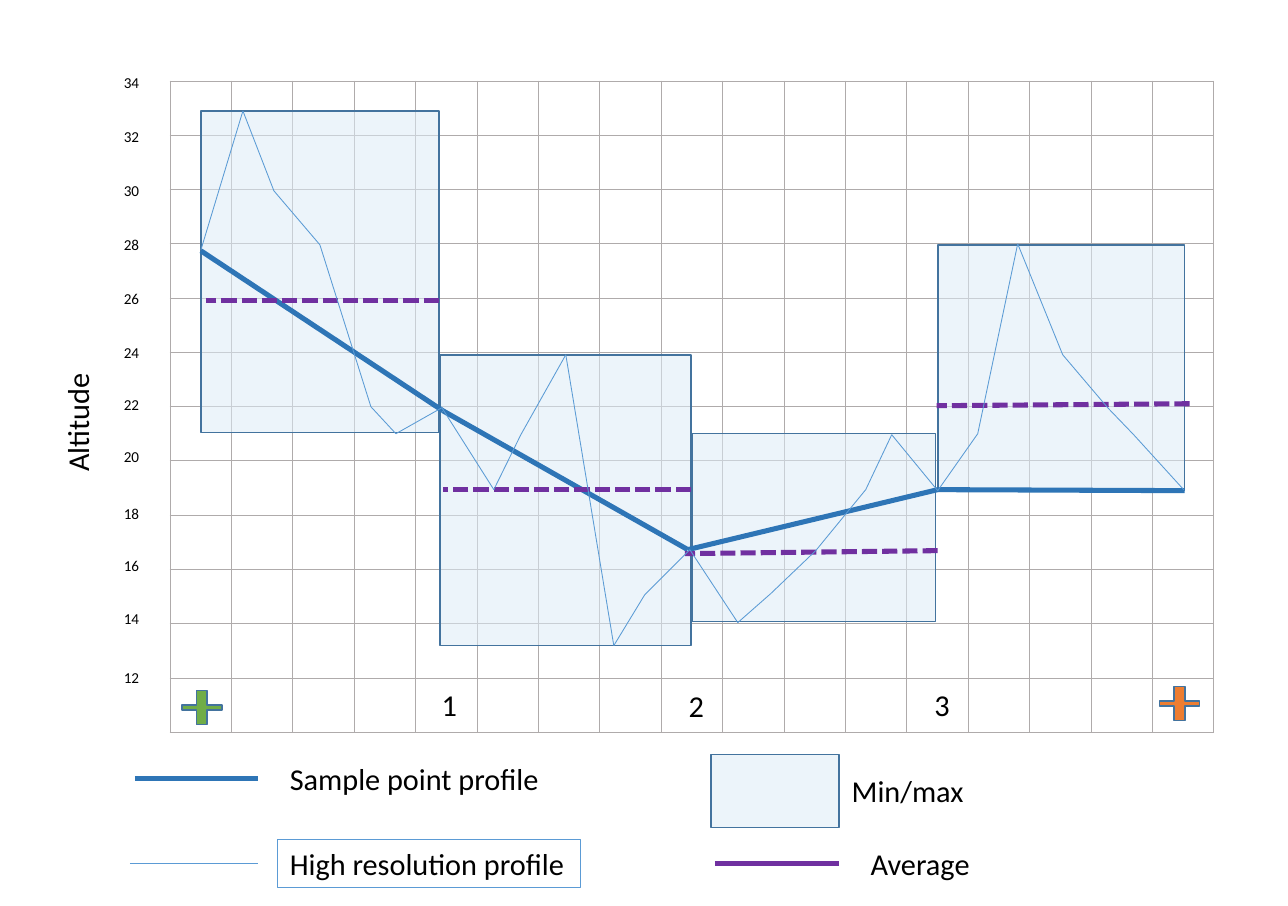
"""Build an altitude profile slide with min/max ranges, averages and a legend."""
import itertools

import lxml.etree
import pptx
import pptx.dml.color
import pptx.enum.shapes
import pptx.enum.text
import pptx.oxml.ns
import pptx.util

SCALE = 914400 / 121.2
SHAPES = pptx.enum.shapes.MSO_SHAPE
FONT = "Calibri"
BLACK, RANGE_FILL, OUTLINE, GRID = "000000", "DEEBF7", "43739E", "AFABAB"
SAMPLE, AVERAGE, DETAIL = "2E75B6", "7030A0", "5B9BD5"
START, FINISH = "70AD47", "ED7D31"

GRID_BOX = (170, 81, 1044, 652)
GRID_ROWS, GRID_COLUMNS = 12, 17
RANGES = [(201, 111, 238, 322), (938, 245, 247, 246), (692, 434, 244, 188),
          (440, 355, 251, 291), (711, 755, 128, 73)]
POINT_LABELS = [("1", 429, 685), ("2", 676, 686), ("3", 922, 685)]
ENDPOINTS = [(1160, 687, FINISH), (182, 691, START)]
SAMPLE_PROFILE = [(201, 251), (443, 411), (688, 550), (938, 490), (1185, 491)]
AVERAGES = [((206, 301), (439, 301)), ((443, 490), (691, 490)),
            ((685, 554), (938, 551)), ((937, 406), (1190, 404))]
DETAILED_PROFILE = [
    (201, 250), (243, 111), (274, 191), (320, 245), (371, 407), (396, 434),
    (442, 408), (494, 490), (521, 435), (566, 355), (614, 646), (645, 595),
    (690, 550), (738, 623), (771, 594), (816, 551), (866, 490), (892, 435),
    (938, 491), (978, 434), (1018, 244), (1063, 355), (1108, 408),
    (1134, 435), (1184, 490)]
TICK_TOPS = [67, 121, 176, 230, 284, 338, 390, 442, 499, 551, 604, 663]
TOP_ALTITUDE, ALTITUDE_STEP = 34, 2
LEGEND_LINES = [((135, 779), (258, 779), SAMPLE, 3),
                ((715, 864), (839, 864), AVERAGE, 3),
                ((130, 864), (258, 864), DETAIL, 0.5)]
LEGEND_TEXTS = [("Sample point profile", (278, 755, 276, 48)),
                ("Average", (859, 840, 125, 48)),
                ("Min/max", (840, 767, 144, 48))]
DETAIL_LABEL = ("High resolution profile", (278, 840, 303, 48))
AXIS_TITLE = ("Altitude", (53, 372, 61, 112))


def emu(pixels):
    return round(pixels * SCALE)


def color(value):
    return pptx.dml.color.RGBColor.from_string(value)


def add_xml(parent, tag, **attributes):
    return lxml.etree.SubElement(parent, pptx.oxml.ns.qn(tag), attributes)


def write(shape, text, size, wrap=False):
    frame = shape.text_frame
    frame.word_wrap = wrap
    paragraph = frame.paragraphs[0]
    paragraph.text = text
    paragraph.font.name = FONT
    paragraph.font.size = pptx.util.Pt(size)
    paragraph.font.color.rgb = color(BLACK)
    return paragraph


def add_text(slide, text, box, size=18):
    shape = slide.shapes.add_textbox(*map(emu, box))
    write(shape, text, size)
    return shape


def add_shape(slide, kind, box, fill=None, line=None, width=1, opacity=100):
    shape = slide.shapes.add_shape(kind, *map(emu, box))
    shape.shadow.inherit = False
    if fill:
        shape.fill.solid()
        shape.fill.fore_color.rgb = color(fill)
        if opacity < 100:
            fill_color = shape.element.spPr.find(".//" + pptx.oxml.ns.qn("a:srgbClr"))
            add_xml(fill_color, "a:alpha", val=str(opacity * 1000))
    else:
        shape.fill.background()
    if line:
        shape.line.color.rgb = color(line)
        shape.line.width = pptx.util.Pt(width)
    else:
        shape.line.fill.background()
    return shape


def add_line(slide, begin, end, line, width, dashed=False):
    connector = slide.shapes.add_connector(
        pptx.enum.shapes.MSO_CONNECTOR.STRAIGHT, *map(emu, begin + end))
    connector.line.color.rgb = color(line)
    connector.line.width = pptx.util.Pt(width)
    if dashed:
        connector.line.dash_style = pptx.enum.dml.MSO_LINE.SQUARE_DOT
    add_xml(connector.element.spPr, "a:effectLst")


def add_grid(slide):
    table = slide.shapes.add_table(GRID_ROWS, GRID_COLUMNS, *map(emu, GRID_BOX)).table
    table.first_row = table.horz_banding = False
    for column in table.columns:
        column.width = emu(GRID_BOX[2] / GRID_COLUMNS)
    for row in table.rows:
        row.height = emu(GRID_BOX[3] / GRID_ROWS)
    for cell in table.iter_cells():
        properties = cell._tc.get_or_add_tcPr()
        for side in "LRTB":
            border = add_xml(properties, f"a:ln{side}", w=str(pptx.util.Pt(0.5)))
            add_xml(add_xml(border, "a:solidFill"), "a:srgbClr", val=GRID)
        cell.fill.background()


presentation = pptx.Presentation()
presentation.slide_width = pptx.util.Inches(10.63)
presentation.slide_height = pptx.util.Inches(7.48)
slide = presentation.slides.add_slide(presentation.slide_layouts[6])

add_grid(slide)
for box in RANGES:
    add_shape(slide, SHAPES.RECTANGLE, box, RANGE_FILL, OUTLINE, opacity=55)
for text, left, top in POINT_LABELS:
    label = add_shape(slide, SHAPES.OVAL, (left, top, 29, 40))
    paragraph = write(label, text, 18, wrap=True)
    paragraph.alignment = pptx.enum.text.PP_ALIGN.CENTER
    label.text_frame.vertical_anchor = pptx.enum.text.MSO_ANCHOR.MIDDLE
for left, top, fill in ENDPOINTS:
    cross = add_shape(slide, SHAPES.CROSS, (left, top, 40, 34), fill, OUTLINE)
    cross.adjustments[0] = 0.43

for begin, end in itertools.pairwise(SAMPLE_PROFILE):
    add_line(slide, begin, end, SAMPLE, 3)
for begin, end in AVERAGES:
    add_line(slide, end, begin, AVERAGE, 3, dashed=True)
for begin, end in itertools.pairwise(DETAILED_PROFILE):
    add_line(slide, begin, end, DETAIL, 0.5)

for index, top in enumerate(TICK_TOPS):
    add_text(slide, str(TOP_ALTITUDE - ALTITUDE_STEP * index), (112, top, 40, 30), 9)
axis_title = add_text(slide, *AXIS_TITLE)
axis_title.element.txBody.bodyPr.set("vert", "vert270")

for begin, end, line, width in LEGEND_LINES:
    add_line(slide, begin, end, line, width)
for text, box in LEGEND_TEXTS:
    add_text(slide, text, box)
text, box = DETAIL_LABEL
label = add_shape(slide, SHAPES.RECTANGLE, box, line=DETAIL, width=0.5)
write(label, text, 18).alignment = pptx.enum.text.PP_ALIGN.LEFT

presentation.save("out.pptx")
